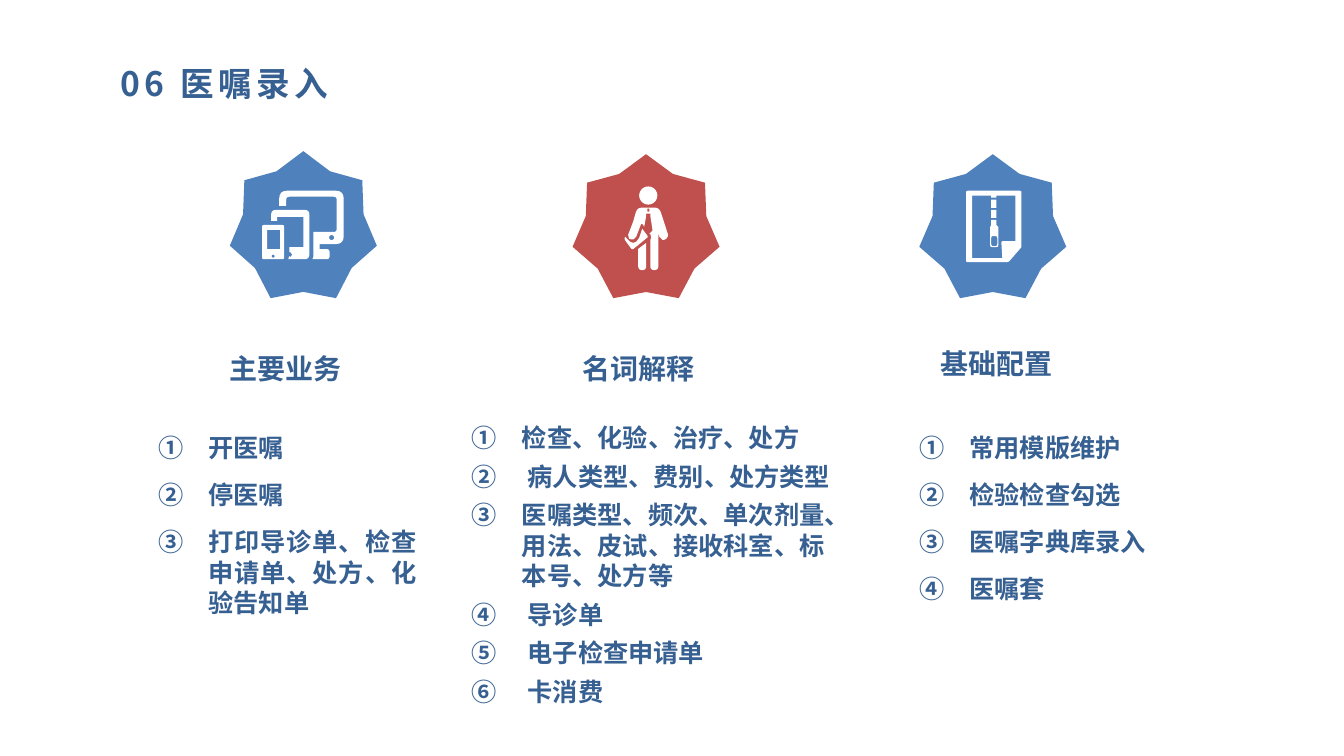
from dataclasses import dataclass
from math import cos, hypot, pi, sin

from lxml import etree
from pptx import Presentation
from pptx.dml.color import RGBColor
from pptx.enum.shapes import MSO_SHAPE
from pptx.enum.text import MSO_ANCHOR, MSO_AUTO_SIZE, PP_ALIGN
from pptx.oxml.ns import qn
from pptx.util import Inches, Pt

STAR = MSO_SHAPE.STAR_7_POINT
TOP, MIDDLE = MSO_ANCHOR.TOP, MSO_ANCHOR.MIDDLE
LEFT, JUSTIFY = PP_ALIGN.LEFT, PP_ALIGN.JUSTIFY
NO_FIT = MSO_AUTO_SIZE.NONE

WIDTH, HEIGHT = Inches(13.33), Inches(7.5)
COLUMN, ROW = WIDTH / 160, HEIGHT / 90
ICON_UNIT = ROW * 0.12
BADGE_WIDTH, BADGE_BOTTOM = 17.5, 35.5
HEADING_SIZE = (24, 4.6)


@dataclass(frozen=True)
class Theme:
    ink: RGBColor = RGBColor(0x37, 0x60, 0x92)
    blue: RGBColor = RGBColor(0x4F, 0x81, 0xBD)
    red: RGBColor = RGBColor(0xC0, 0x50, 0x4D)
    white: RGBColor = RGBColor(0xFF, 0xFF, 0xFF)
    cjk: str = "Noto Sans CJK SC"
    latin: str = "Arial"
    title: int = 24
    heading: int = 20
    body: int = 18
    leading: float = 1.2


THEME = Theme()
Point = tuple[float, float]
Contour = list[Point]


def rounded(*corners: tuple[float, ...]) -> Contour:
    """Outline through (x, y) corners; a third value rounds that corner."""
    outline: Contour = []
    for i, (x, y, *radius) in enumerate(corners):
        if not radius:
            outline.append((x, y))
            continue
        ends = []
        for near in (corners[i - 1], corners[(i + 1) % len(corners)]):
            dx, dy = near[0] - x, near[1] - y
            share = radius[0] / hypot(dx, dy)
            ends.append((x + dx * share, y + dy * share))
        (ax, ay), (bx, by) = ends
        for t in (0, 0.25, 0.5, 0.75, 1):
            a, c, b = (1 - t) ** 2, 2 * t * (1 - t), t * t
            outline.append((a * ax + c * x + b * bx, a * ay + c * y + b * by))
    return outline


def box(x: float, y: float, w: float, h: float, r: float = 0) -> Contour:
    corners = ((x, y), (x + w, y), (x + w, y + h), (x, y + h))
    return rounded(*((*corner, r) for corner in corners)) if r else list(corners)


def dot(x: float, y: float, r: float) -> Contour:
    turns = [2 * pi * k / 24 for k in range(24)]
    return [(x + r * cos(turn), y + r * sin(turn)) for turn in turns]


DEVICES = [
    box(0, 34, 22, 34, 2), box(5, 39, 13, 19), dot(11, 65, 1.5),
    rounded((9, 19, 5), (47, 19, 5), (47, 68, 5), (26, 68), (27, 65), (28, 66),
            (30, 63.5), (28, 61), (27, 61), (27, 56), (41, 56), (41, 26),
            (15, 26), (15, 30), (9, 30)),
    rounded((17, 0, 8), (81, 0, 8), (81, 53, 8), (57, 53), (57, 58), (67, 58, 3),
            (67, 68, 3), (50, 68), (51, 65), (51, 41), (74, 41, 3), (74, 6, 3),
            (24, 6, 3), (24, 15), (17, 15)),
    dot(69, 46.5, 2.5),
]
CLERK = [
    dot(24, 9, 9),
    rounded((22, 56), (22, 83, 4), (14, 83, 4), (14, 62)),
    rounded((18, 42), (24, 50, 1.5), (8, 63, 2), (0, 52, 2), (1, 50), (6, 55),
            (9, 56), (12, 55), (15, 51)),
    box(23, 22, 2, 3),
    rounded((13, 21, 5), (35, 21, 5), (44, 49, 2), (41, 53, 2), (38, 53), (35, 50),
            (34, 46), (34, 83, 4), (26, 83, 4), (26, 53), (27, 51), (26, 47),
            (25, 47), (28, 44), (28, 42), (26, 29), (26, 27), (22, 27), (22, 29),
            (20, 40), (19, 38), (17, 37), (12, 50), (9, 53, 2), (5, 52), (4, 48),
            (9, 35)),
]
ZIP_FILE = [
    rounded((0, 0, 2), (55, 0, 2), (55, 56, 1), (42, 71, 2), (0, 71, 2)),
    rounded((49, 50), (35, 50, 2), (36, 67), (6, 67), (6, 5), (25, 5), (25, 7),
            (30, 7), (30, 5), (49, 5)),
    box(25, 9, 5, 8), box(25, 19, 5, 8),
    rounded((25, 29), (30, 29), (30, 34), (32, 36), (32, 56, 2), (24, 56, 2),
            (24, 36), (25, 34)),
    box(25, 45, 6, 10, 2),
]


@dataclass(frozen=True)
class Section:
    heading: str
    heading_at: Point
    badge_at: Point
    colour: RGBColor
    icon: list[Contour]
    icon_at: Point
    items: tuple[str, ...]
    list_area: tuple[float, float, float, float]
    face: str = THEME.latin
    align: PP_ALIGN = LEFT
    before: int = 6


SECTIONS = (
    Section("主要业务", (26.16, 41.3), (27.36, 18), THEME.blue, DEVICES, (31.2, 22.7),
            ("开医嘱", "停医嘱", "打印导诊单、检查申请单、处方、化验告知单"),
            (17.64, 50.9, 33.12, 23.4), align=JUSTIFY),
    Section("名词解释", (68.16, 41.3), (68.16, 18.36), THEME.red, CLERK, (74.3, 22.2),
            ("检查、化验、治疗、处方", " 病人类型、费别、处方类型",
             "医嘱类型、频次、单次剂量、用法、皮试、接收科室、标本号、处方等",
             " 导诊单", " 电子检查申请单", " 卡消费"),
            (54.96, 49.7, 46.08, 39), before=0),
    Section("基础配置", (110.76, 40.7), (109.44, 18.36), THEME.blue, ZIP_FILE,
            (115, 22.7),
            ("常用模版维护", "检验检查勾选", "医嘱字典库录入", "医嘱套"),
            (108.24, 50.9, 33.12, 28.2), face=THEME.cjk),
)


def place(x: float, y: float, w: float, h: float) -> tuple[int, int, int, int]:
    return round(x * COLUMN), round(y * ROW), round(w * COLUMN), round(h * ROW)


def write(paragraph, words: str, size: int, face: str = THEME.cjk,
          align: PP_ALIGN = LEFT):
    """Add one bold run in the ink colour and return it."""
    paragraph.alignment = align
    paragraph.line_spacing = Pt(size * THEME.leading)
    run = paragraph.add_run()
    run.text = words
    run.font.size, run.font.bold = Pt(size), True
    run.font.color.rgb = THEME.ink
    run.font.name = face
    etree.SubElement(run.font._element, qn("a:ea"), typeface=THEME.cjk)
    return run


def add_frame(slide, area: tuple[float, float, float, float]):
    frame = slide.shapes.add_textbox(*place(*area)).text_frame
    frame.word_wrap, frame.vertical_anchor = True, TOP
    return frame


def paint(shape, colour: RGBColor) -> None:
    shape.shadow.inherit = False
    shape.fill.solid()
    shape.fill.fore_color.rgb = colour
    shape.line.fill.background()


def add_badge(slide, section: Section) -> None:
    badge = slide.shapes.add_group_shape().shapes
    left, top = section.badge_at
    star = badge.add_shape(STAR, *place(left, top, BADGE_WIDTH, BADGE_BOTTOM - top))
    star.adjustments[0] = 0.41
    paint(star, section.colour)
    outlines = [[(x * ICON_UNIT, y * ICON_UNIT) for x, y in contour]
                for contour in section.icon]
    pen = badge.build_freeform(*outlines[0][0])
    for outline in outlines:
        pen.move_to(*outline[0])
        pen.add_line_segments(outline[1:], close=True)
    paint(pen.convert_to_shape(*place(*section.icon_at, 0, 0)[:2]), THEME.white)


def add_list(slide, section: Section) -> None:
    frame = add_frame(slide, section.list_area)
    for i, item in enumerate(section.items):
        paragraph = frame.add_paragraph() if i else frame.paragraphs[0]
        properties = paragraph._p.get_or_add_pPr()
        properties.set("marL", str(Inches(0.5)))
        properties.set("indent", str(-Inches(0.5)))
        etree.SubElement(properties, qn("a:buAutoNum"), type="circleNumDbPlain")
        paragraph.space_before = Pt(section.before if i else 0)
        paragraph.space_after = Pt(6)
        write(paragraph, item, THEME.body, section.face, section.align)


def add_title(slide, words: str) -> None:
    title = slide.shapes.title
    title.left, title.top, title.width, title.height = place(13.2, 6.4, 121, 7)
    frame = title.text_frame
    frame.auto_size, frame.vertical_anchor = NO_FIT, MIDDLE
    run = write(frame.paragraphs[0], words, THEME.title)
    run.font._element.set("spc", "300")


def main() -> None:
    deck = Presentation()
    deck.slide_width, deck.slide_height = WIDTH, HEIGHT
    slide = deck.slides.add_slide(deck.slide_layouts[5])
    add_title(slide, "06 医嘱录入")
    for section in SECTIONS:
        add_badge(slide, section)
        heading = add_frame(slide, (*section.heading_at, *HEADING_SIZE))
        write(heading.paragraphs[0], section.heading, THEME.heading)
        add_list(slide, section)
    deck.save("out.pptx")


if __name__ == "__main__":
    main()
